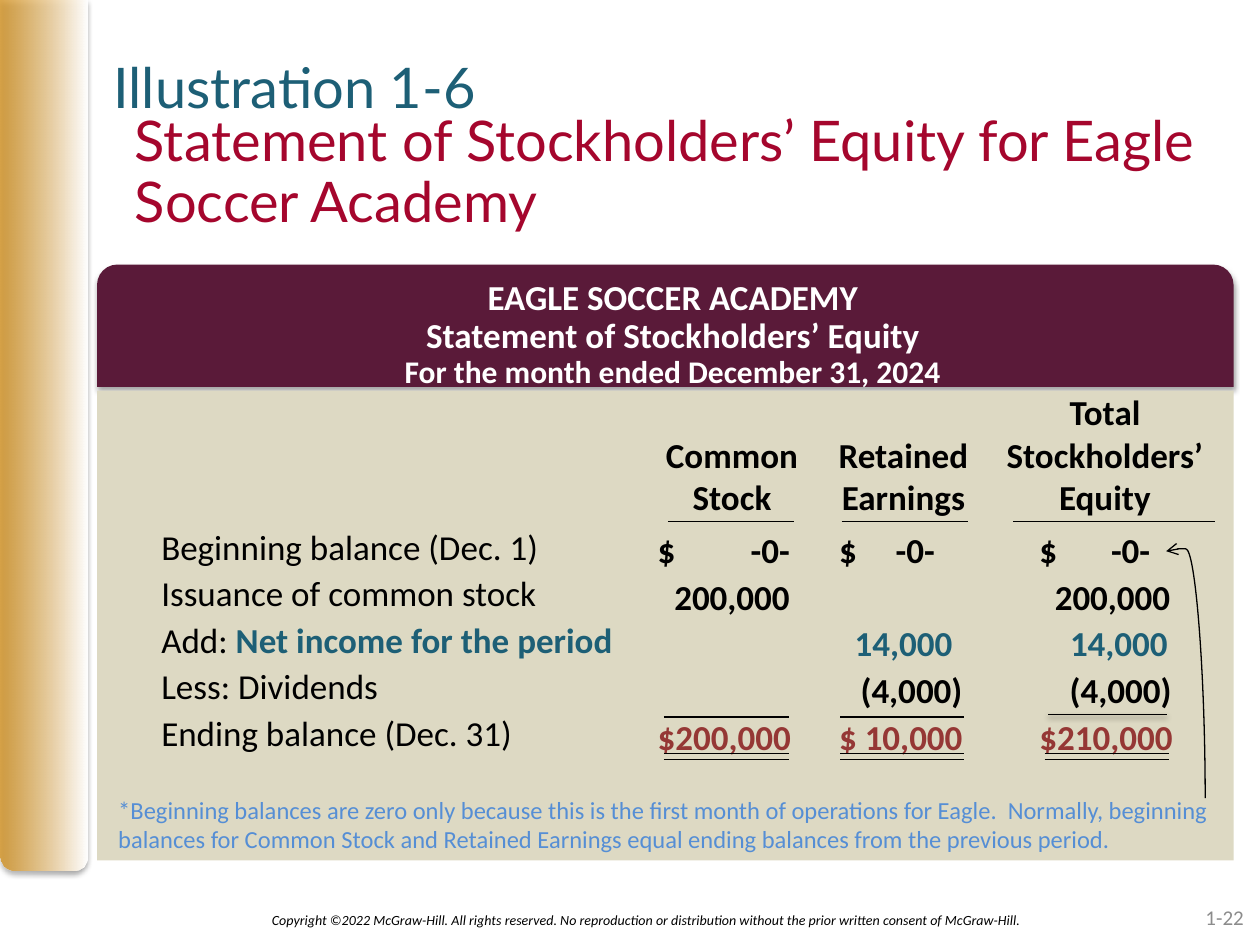
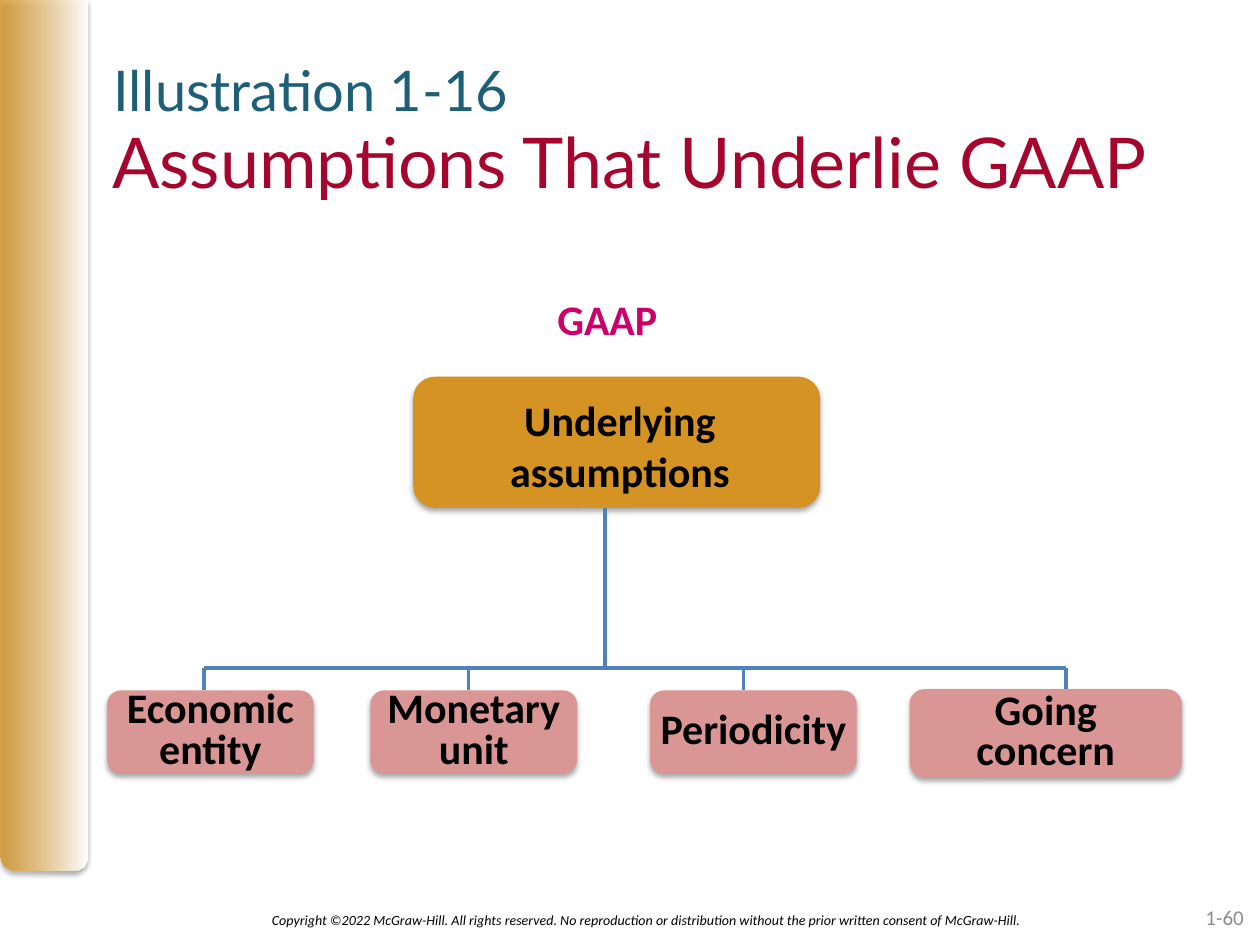
from dataclasses import dataclass

from lxml.etree import SubElement
from pptx import Presentation
from pptx.dml.color import RGBColor
from pptx.enum.shapes import MSO_CONNECTOR, MSO_SHAPE
from pptx.enum.text import MSO_ANCHOR, PP_ALIGN
from pptx.oxml.ns import qn
from pptx.util import Inches, Pt


@dataclass(frozen=True)
class Style:
    size: float
    color: str
    bold: bool = False
    italic: bool = False
    font: str = "Calibri"


class Theme:
    # Colours
    gold, white, black = "D49323", "FFFFFF", "000000"
    plum, sand, rose, blue = "5A1A39", "DDD9C3", "D99694", "4F81BD"
    teal, crimson, total_red = "1D5F76", "A5062D", "953735"
    # Type
    kicker = Style(32, teal, font="Lato")
    title = Style(32, crimson, font="Lato")
    big_title = Style(40, crimson, font="Lato")
    heading = Style(20, white, bold=True)
    period = Style(18, white, bold=True)
    label = Style(20, black)
    amount = Style(20, black, bold=True)
    income = Style(20, teal, bold=True)
    total = Style(20, total_red, bold=True)
    footnote = Style(14, "558ED5")
    node = Style(24, black, bold=True)
    gaap = Style(24, "CC006A", bold=True)
    copyright = Style(8, black, italic=True)
    page = Style(12, "8C8C8C")


COPYRIGHT = ("Copyright ©2022 McGraw-Hill. All rights reserved. No reproduction or "
             "distribution without the prior written consent of McGraw-Hill.")
NO_GRID = "{2D5ABB26-0587-4C30-8999-92F81FD0307C}"


def rgb(color):
    return RGBColor.from_string(color)


def inches(values):
    return [Inches(value) for value in values]


class Deck:
    def __init__(self, theme):
        self.theme = theme
        self.prs = Presentation()
        self.prs.slide_width, self.prs.slide_height = Inches(10), Inches(7.5)
        self.slide = None

    def new_slide(self, kicker, kicker_top, title, title_box, title_style, page, spacing=1):
        """Add a slide with its title, kicker line and footer."""
        first = self.slide is None
        self.slide = self.prs.slides.add_slide(self.prs.slide_layouts[5])
        if first:
            self.side_band()
        heading = self.slide.shapes.title
        heading.left, heading.top, heading.width, heading.height = inches(title_box)
        heading.text_frame.vertical_anchor = MSO_ANCHOR.TOP
        self.add_runs(heading.text_frame, [title], title_style, PP_ALIGN.LEFT, spacing)
        self.text((0.9, kicker_top, 7.45, 0.36), [kicker], self.theme.kicker, margins=(0, 0, 0, 0))
        self.text((1.56, 7.1, 7.15, 0.4), [COPYRIGHT], self.theme.copyright,
                  PP_ALIGN.CENTER, anchor=MSO_ANCHOR.MIDDLE)
        self.text((7.64, 7.08, 2.33, 0.4), [page], self.theme.page,
                  PP_ALIGN.RIGHT, anchor=MSO_ANCHOR.MIDDLE)

    def side_band(self):
        """Place the gold gradient band on the master."""
        band = self.shape(MSO_SHAPE.ROUND_2_SAME_RECTANGLE, (0, 0, 0.69, 6.91),
                          self.theme.gold, shadow=True)
        band.adjustments[0], band.adjustments[1] = 0, 0.17
        band.fill.gradient()
        band.fill.gradient_angle = 0
        start, end = band.fill.gradient_stops
        start.position, end.position = 0, 1
        start.color.rgb, end.color.rgb = rgb(self.theme.gold), rgb(self.theme.white)
        first_color = band._element.spPr.find(qn("a:gradFill")).find(".//" + qn("a:srgbClr"))
        SubElement(first_color, qn("a:alpha"), val="80000")
        self.prs.slide_master.shapes._spTree.insert(2, band._element)

    def add_runs(self, frame, paragraphs, style, align=PP_ALIGN.LEFT, spacing=1, tab=None):
        """Fill a frame; a paragraph is a string or a list of (text, style) runs."""
        frame.word_wrap = True
        for index, content in enumerate(paragraphs):
            paragraph = frame.add_paragraph() if index else frame.paragraphs[0]
            paragraph.alignment = align
            paragraph.line_spacing = spacing
            if tab:
                stops = SubElement(paragraph._p.get_or_add_pPr(), qn("a:tabLst"))
                SubElement(stops, qn("a:tab"), pos=str(Inches(tab)), algn="r")
            runs = [(content, style)] if isinstance(content, str) else content
            for words, look in runs:
                run = paragraph.add_run()
                run.text = words
                font = run.font
                font.name, font.size = look.font, Pt(look.size)
                font.bold, font.italic = look.bold, look.italic
                font.color.rgb = rgb(look.color)

    def set_margins(self, target, margins):
        (target.margin_left, target.margin_top,
         target.margin_right, target.margin_bottom) = inches(margins)

    def text(self, box, paragraphs, style, align=PP_ALIGN.LEFT, spacing=1,
             anchor=MSO_ANCHOR.TOP, margins=(0.1, 0.05, 0.1, 0.05)):
        frame = self.slide.shapes.add_textbox(*inches(box)).text_frame
        frame.vertical_anchor = anchor
        self.set_margins(frame, margins)
        self.add_runs(frame, paragraphs, style, align, spacing)

    def add_shadow(self, element, opacity=35):
        effects = element.spPr.find(qn("a:effectLst"))
        shadow = SubElement(effects, qn("a:outerShdw"), blurRad="40000", dist="23000",
                            dir="5400000", rotWithShape="0")
        color = SubElement(shadow, qn("a:srgbClr"), val=self.theme.black)
        SubElement(color, qn("a:alpha"), val=str(opacity * 1000))

    def shape(self, kind, box, fill, paragraphs=(), style=None, spacing=1, shadow=False,
              anchor=MSO_ANCHOR.MIDDLE, margins=(0, 0, 0, 0)):
        shape = self.slide.shapes.add_shape(kind, *inches(box))
        shape.fill.solid()
        shape.fill.fore_color.rgb = rgb(fill)
        shape.line.fill.background()
        shape.shadow.inherit = False
        if shadow:
            self.add_shadow(shape._element)
        shape.text_frame.vertical_anchor = anchor
        self.set_margins(shape.text_frame, margins)
        self.add_runs(shape.text_frame, paragraphs, style, PP_ALIGN.CENTER, spacing)
        return shape

    def line(self, x1, y1, x2, y2, color, width=0.75, shadow=False, kind=MSO_CONNECTOR.STRAIGHT):
        line = self.slide.shapes.add_connector(kind, *inches((x1, y1, x2, y2)))
        line.line.color.rgb = rgb(color)
        line.line.width = Pt(width)
        SubElement(line._element.spPr, qn("a:effectLst"))
        if shadow:
            self.add_shadow(line._element, 38)
        return line

    def curved_arrow(self, left, top, width, height, bend, color):
        """Curve that climbs from lower right and ends in an arrow pointing left."""
        curve = self.line(left, top, left + width, top + height, color, kind=MSO_CONNECTOR.CURVE)
        properties = curve._element.spPr
        frame = properties.find(qn("a:xfrm"))
        frame.set("rot", str(270 * 60000))
        frame.set("flipV", "1")
        guides = properties.find(qn("a:prstGeom")).find(qn("a:avLst"))
        SubElement(guides, qn("a:gd"), name="adj1", fmla=f"val {round(bend * 100000)}")
        SubElement(properties.find(qn("a:ln")), qn("a:tailEnd"), type="arrow")

    def table(self, left, top, widths, heights):
        """Add a plain table with no grid and no cell fill."""
        frame = self.slide.shapes.add_table(
            len(heights), len(widths), *inches((left, top, sum(widths), sum(heights))))
        table = frame.table
        table.first_row = table.horz_banding = False
        table._tbl.tblPr.find(qn("a:tableStyleId")).text = NO_GRID
        for column, width in zip(table.columns, widths):
            column.width = Inches(width)
        for row, height in zip(table.rows, heights):
            row.height = Inches(height)
        return table

    def cell(self, table, row, column, paragraphs, style, align=PP_ALIGN.LEFT,
             anchor=MSO_ANCHOR.BOTTOM, margins=(0, 0, 0, 0), tab=None):
        cell = table.cell(row, column)
        cell.fill.background()
        cell.vertical_anchor = anchor
        self.set_margins(cell, margins)
        self.add_runs(cell.text_frame, paragraphs, style, align, tab=tab)


def equity_statement(deck):
    theme = deck.theme
    deck.new_slide("Illustration 1-6", 0.42,
                   "Statement of Stockholders’ Equity for Eagle Soccer Academy",
                   (0.97, 0.85, 9, 1.25), theme.title, "1-22", spacing=0.9)

    # Statement heading and panel
    deck.shape(MSO_SHAPE.ROUND_2_SAME_RECTANGLE, (0.77, 2.1, 9.02, 0.97), theme.plum,
               ["EAGLE SOCCER ACADEMY", "Statement of Stockholders’ Equity",
                [("For the month ended December 31, 2024", theme.period)]],
               theme.heading, spacing=0.9, shadow=True, anchor=MSO_ANCHOR.TOP,
               margins=(0.12, 0.08, 0, 0))
    deck.shape(MSO_SHAPE.RECTANGLE, (0.77, 3.1, 9.02, 3.73), theme.sand)

    # Balances: each amount comes with the tab stop of its right edge
    headers = [["Common", "Stock"], ["Retained", "Earnings"], ["Total", "Stockholders’", "Equity"]]
    indents = [0.11, 0.15, 0.42]
    net_income = [("Add: ", theme.label), ("Net income for the period", theme.income)]
    rows = [
        ("Beginning balance (Dec. 1)", theme.amount,
         [("$\t-0-", 1.05), ("$\t-0-", 0.76), ("$\t-0-", 0.88)]),
        ("Issuance of common stock", theme.amount,
         [("\t200,000", 1.05), None, ("\t200,000", 1.04)]),
        (net_income, theme.income, [None, ("\t14,000", 0.9), ("\t14,000", 1.02)]),
        ("Less: Dividends", theme.amount, [None, ("\t(4,000)", 0.98), ("\t(4,000)", 1.05)]),
        ("Ending balance (Dec. 31)", theme.total,
         [("$200,000", None), ("$ 10,000", None), ("$210,000", None)]),
    ]
    table = deck.table(1.28, 3.1, [3.83, 1.4, 1.32, 1.88], [1.08] + [0.37] * len(rows))
    deck.cell(table, 0, 0, [], theme.label)
    for column, header in enumerate(headers, 1):
        deck.cell(table, 0, column, header, theme.amount, PP_ALIGN.CENTER,
                  margins=(0, 0, 0, 0.05))
    for row, (label, style, amounts) in enumerate(rows, 1):
        deck.cell(table, row, 0, [label], theme.label, anchor=MSO_ANCHOR.TOP)
        for column, (amount, indent) in enumerate(zip(amounts, indents), 1):
            words, tab = amount or ("", None)
            deck.cell(table, row, column, [words], style, margins=(indent, 0, 0, 0), tab=tab)

    # Rules under headers, above totals and double below totals
    for left, right in [(5.3, 6.3), (6.68, 7.68), (8.04, 9.64)]:
        deck.line(left, 4.14, right, 4.14, theme.black)
    for left, right in [(5.27, 6.26), (6.67, 7.65), (8.29, 9.28)]:
        for y in (5.98, 6.03):
            deck.line(left, y, right, y, theme.black)
    for left, right in [(5.27, 6.26), (6.67, 7.65)]:
        deck.line(left, 5.69, right, 5.69, theme.black)
    deck.line(8.32, 5.67, 9.26, 5.67, theme.black, 1, shadow=True)

    # Footnote and its arrow to the opening balance
    deck.text((0.84, 6.26, 8.97, 0.57),
              ["*Beginning balances are zero only because this is the first month of operations "
               "for Eagle.  Normally, beginning balances for Common Stock and Retained Earnings "
               "equal ending balances from the previous period."], theme.footnote)
    deck.curved_arrow(8.43, 5.2, 1.96, 0.31, 1.01, theme.black)


def gaap_assumptions(deck):
    theme = deck.theme
    deck.new_slide("Illustration 1-16", 0.44, "Assumptions That Underlie GAAP",
                   (0.79, 0.89, 9, 1.25), theme.big_title, "1-60")

    # Root of the tree
    deck.text((1.62, 2.28, 6.4, 0.58), ["GAAP"], theme.gaap, PP_ALIGN.CENTER)
    deck.shape(MSO_SHAPE.ROUNDED_RECTANGLE, (3.28, 2.99, 3.23, 1.04), theme.gold,
               ["Underlying assumptions"], theme.node, shadow=True, margins=(0.15, 0.05, 0.1, 0))

    # Trunk and crossbar
    bar_y = 5.3
    deck.line(4.8, 4.03, 4.8, bar_y, theme.blue, 2)
    deck.line(1.62, bar_y, 8.46, bar_y, theme.blue, 2)

    # Assumptions, each with its drop line
    assumptions = [
        (1.62, (0.85, 5.48, 1.64, 0.66), ["Economic", "entity"]),
        (3.72, (2.94, 5.48, 1.64, 0.66), ["Monetary", "unit"]),
        (5.9, (5.16, 5.48, 1.64, 0.66), ["Periodicity"]),
        (8.46, (7.22, 5.47, 2.16, 0.7), ["Going", "concern"]),
    ]
    for drop_x, box, words in assumptions:
        deck.line(drop_x, bar_y, drop_x, box[1], theme.blue, 2)
        deck.shape(MSO_SHAPE.ROUNDED_RECTANGLE, box, theme.rose, words, theme.node,
                   spacing=0.8, shadow=True)


def main():
    deck = Deck(Theme())
    equity_statement(deck)
    gaap_assumptions(deck)
    deck.prs.save("out.pptx")


if __name__ == "__main__":
    main()
